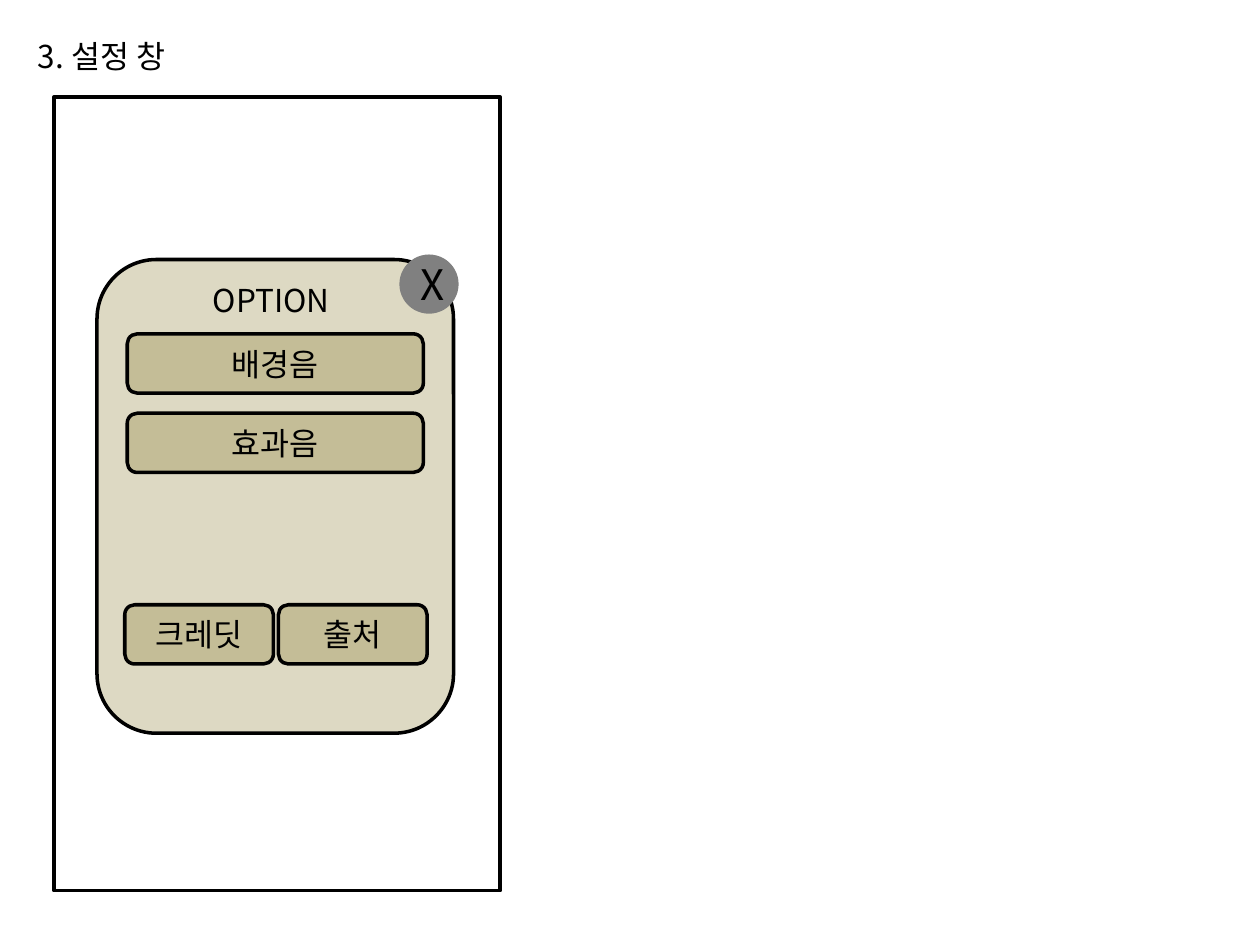
from lxml import etree
from pptx import Presentation
from pptx.dml.color import RGBColor
from pptx.enum import shapes, text
from pptx.oxml.ns import qn
from pptx.util import Inches, Pt

FONT = "Noto Sans CJK KR"
COLORS = {"ink": "000000", "screen": "FFFFFF", "panel": "DDD9C3",
          "button": "C4BD97", "close": "808080"}
KIND = shapes.MSO_SHAPE


def write(frame, words, size=18, align=text.PP_ALIGN.LEFT,
          anchor=text.MSO_ANCHOR.TOP, wrap=True):
    frame.word_wrap = wrap
    frame.auto_size = text.MSO_AUTO_SIZE.NONE
    frame.vertical_anchor = anchor
    paragraph = frame.paragraphs[0]
    paragraph.alignment = align
    run = paragraph.add_run()
    run.text = words
    run.font.size = Pt(size)
    run.font.name = FONT
    run.font.color.rgb = RGBColor.from_string(COLORS["ink"])
    etree.SubElement(run.font._element, qn("a:ea")).set("typeface", FONT)


def draw(kind, box, fill, outlined=True, label="", size=18):
    part = slide.shapes.add_shape(kind, *map(Inches, box))
    part.shadow.inherit = False
    part.fill.solid()
    part.fill.fore_color.rgb = RGBColor.from_string(COLORS[fill])
    if outlined:
        part.line.color.rgb = RGBColor.from_string(COLORS["ink"])
        part.line.width = Pt(2)
    else:
        part.line.fill.background()
    if label:
        write(part.text_frame, label, size, text.PP_ALIGN.CENTER,
              text.MSO_ANCHOR.MIDDLE)


deck = Presentation()
deck.slide_width, deck.slide_height = Inches(10), Inches(7.5)
slide = deck.slides.add_slide(deck.slide_layouts[5])

# Slide title
title = slide.shapes.title
title.left, title.top, title.width, title.height = map(
    Inches, (0.2, 0.24, 1.33, 0.4))
write(title.text_frame, "3. 설정 창", wrap=False)

# Phone screen, option panel and close button
draw(KIND.RECTANGLE, (0.43, 0.77, 3.54, 6.3), "screen")
draw(KIND.ROUNDED_RECTANGLE, (0.77, 2.06, 2.83, 3.76), "panel")
draw(KIND.OVAL, (3.17, 2.02, 0.47, 0.47), "close", False, "X", 24)

# Panel heading
heading = slide.shapes.add_textbox(*map(Inches, (1.59, 2.18, 1.18, 0.4)))
write(heading.text_frame, "OPTION")

# Sound buttons, stacked
for row, label in enumerate(("배경음", "효과음")):
    draw(KIND.ROUNDED_RECTANGLE, (1.01, 2.65 + row * 0.63, 2.35, 0.47),
         "button", label=label)

# Information buttons, side by side
for column, label in enumerate(("크레딧", "출처")):
    draw(KIND.ROUNDED_RECTANGLE, (0.99 + column * 1.22, 4.8, 1.18, 0.47),
         "button", label=label)

deck.save("out.pptx")
